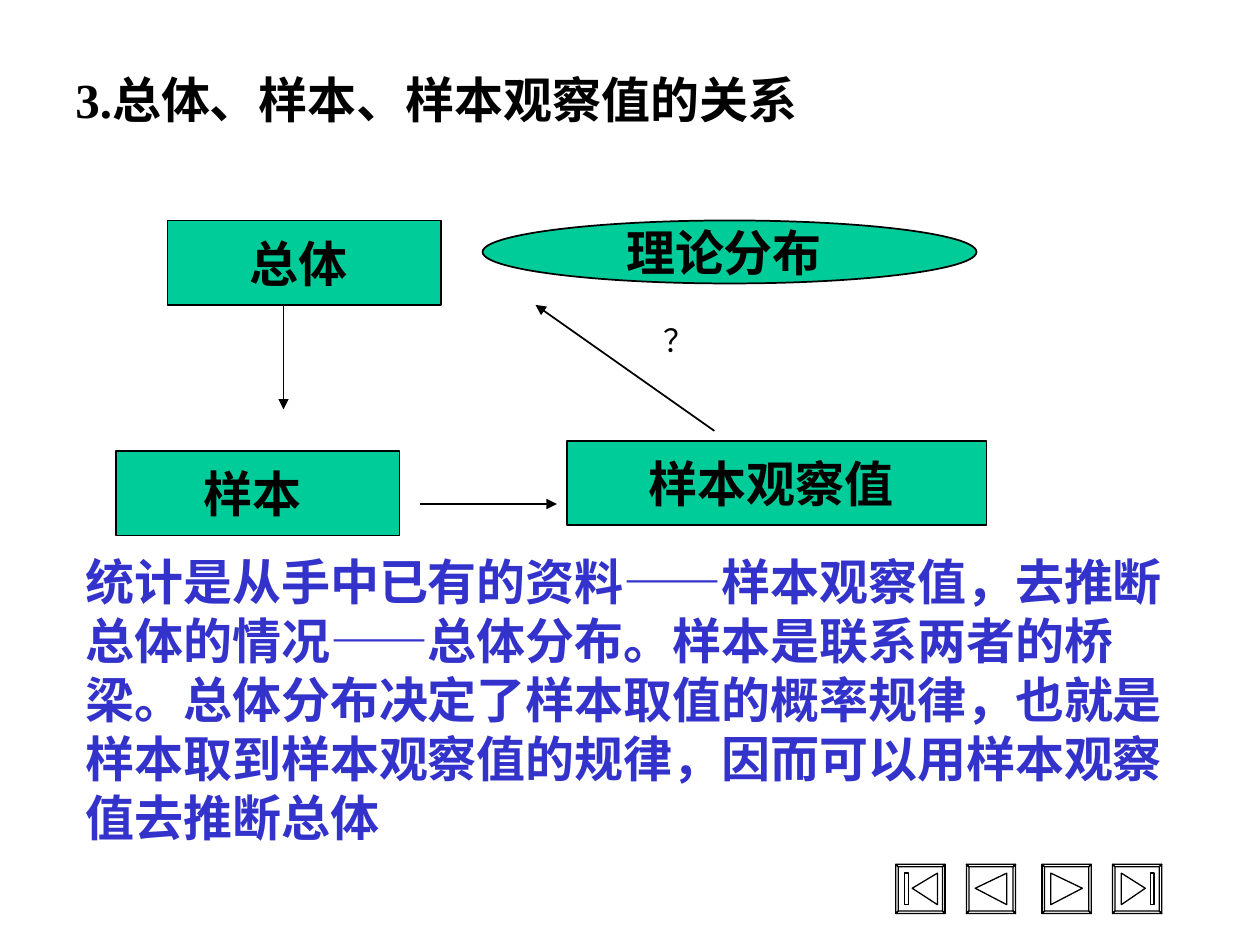
import pptx
import pptx.util
import pptx.dml.color
import pptx.enum.shapes
import pptx.enum.text
import pptx.oxml
import pptx.oxml.ns

Inches, Pt = pptx.util.Inches, pptx.util.Pt
RGBColor = pptx.dml.color.RGBColor
MSO_SHAPE = pptx.enum.shapes.MSO_SHAPE
PP_ALIGN = pptx.enum.text.PP_ALIGN
ANCHOR = pptx.enum.text.MSO_ANCHOR
AUTO_SIZE = pptx.enum.text.MSO_AUTO_SIZE

BLACK = RGBColor(0x00, 0x00, 0x00)
WHITE = RGBColor(0xFF, 0xFF, 0xFF)
GREEN = RGBColor(0x00, 0xCC, 0x99)
BLUE = RGBColor(0x33, 0x33, 0xCC)
SERIF = "Times New Roman"
SANS = "Noto Sans CJK SC"

TITLE = "3.总体、样本、样本观察值的关系"
CONCLUSION = (
    "统计是从手中已有的资料——样本观察值，去推断总体的情况——总体分布。"
    "样本是联系两者的桥梁。总体分布决定了样本取值的概率规律，"
    "也就是样本取到样本观察值的规律，因而可以用样本观察值去推断总体"
)
# The space after each label sets it slightly left of centre.
NODES = [
    ("总体 ", MSO_SHAPE.RECTANGLE, (1.33, 1.75, 2.17, 0.67)),
    ("样本 ", MSO_SHAPE.RECTANGLE, (0.92, 3.58, 2.25, 0.67)),
    ("样本观察值 ", MSO_SHAPE.RECTANGLE, (4.5, 3.5, 3.33, 0.67)),
    ("理论分布 ", MSO_SHAPE.OVAL, (3.83, 1.75, 3.92, 0.5)),
]
ARROWS = [
    ((2.25, 2.42), (2.25, 3.25)),
    ((3.33, 4), (4.42, 4)),
    ((5.67, 3.42), (4.25, 2.42)),
]

BUTTON_TOP, BUTTON_SIZE, BEVEL = 6.86, 0.39, 0.02
ICON_TOP, ICON_MIDDLE, ICON_BOTTOM = 0.07, 0.19, 0.32


def triangle(base, tip):
    return [(base, ICON_TOP), (tip, ICON_MIDDLE), (base, ICON_BOTTOM)]


def bar(left, right):
    return [(left, ICON_TOP), (right, ICON_TOP),
            (right, ICON_BOTTOM), (left, ICON_BOTTOM)]


# Left edge of each button, then its icon outlines relative to the button
BUTTONS = [
    (7.11, [triangle(0.33, 0.13), bar(0.07, 0.1)]),
    (7.67, [triangle(0.32, 0.07)]),
    (8.27, [triangle(0.07, 0.32)]),
    (8.83, [triangle(0.07, 0.26), bar(0.3, 0.33)]),
]


def style_text(paragraph, size, color, bold=True, typeface=SERIF):
    """Set Latin and Chinese fonts, and keep punctuation inside the margin."""
    font = paragraph.font
    font.size, font.bold, font.name = Pt(size), bold, typeface
    font.color.rgb = color
    east_asian = pptx.oxml.parse_xml(
        f'<a:ea {pptx.oxml.ns.nsdecls("a")} typeface="{SANS}"/>')
    properties = paragraph._p.get_or_add_pPr()
    properties.find(pptx.oxml.ns.qn("a:defRPr")).append(east_asian)
    properties.set("hangingPunct", "0")


def add_text(slide, text, box, size, color, wrap=True, **style):
    frame = slide.shapes.add_textbox(*map(Inches, box)).text_frame
    frame.word_wrap = wrap
    frame.auto_size = AUTO_SIZE.SHAPE_TO_FIT_TEXT if wrap else AUTO_SIZE.NONE
    frame.text = text
    style_text(frame.paragraphs[0], size, color, **style)


def paint(shape, fill, line_width):
    shape.shadow.inherit = False
    shape.fill.solid()
    shape.fill.fore_color.rgb = fill
    shape.line.color.rgb = BLACK
    shape.line.width = Pt(line_width)


def add_node(slide, label, kind, box):
    node = slide.shapes.add_shape(kind, *map(Inches, box))
    paint(node, GREEN, 1)
    frame = node.text_frame
    frame.word_wrap = False
    frame.vertical_anchor = ANCHOR.MIDDLE
    frame.text = label
    frame.paragraphs[0].alignment = PP_ALIGN.CENTER
    style_text(frame.paragraphs[0], 28, BLACK)


def add_arrow(slide, start, end):
    arrow = slide.shapes.add_connector(
        pptx.enum.shapes.MSO_CONNECTOR.STRAIGHT, *map(Inches, start + end))
    arrow.line.color.rgb = BLACK
    arrow.line.width = Pt(1)
    namespace = pptx.oxml.ns.nsdecls("a")
    arrow.line._get_or_add_ln().append(
        pptx.oxml.parse_xml(f'<a:tailEnd {namespace} type="triangle"/>'))
    arrow._element.spPr.append(pptx.oxml.parse_xml(f"<a:effectLst {namespace}/>"))


def add_button(slide, left, icon):
    """Draw a bevelled navigation button as one outline with several contours."""
    def square(inset):
        near, far = inset, BUTTON_SIZE - inset
        return [(near, near), (far, near), (far, far), (near, far)]

    outer, inner = square(0), square(BEVEL)
    bevels = [[outer[i], outer[(i + 1) % 4], inner[(i + 1) % 4], inner[i]]
              for i in range(4)]
    builder = None
    for contour in [outer] + bevels + icon:
        points = [(Inches(left + x), Inches(BUTTON_TOP + y)) for x, y in contour]
        if builder is None:
            builder = slide.shapes.build_freeform(*points[0])
        else:
            builder.move_to(*points[0])
        builder.add_line_segments(points[1:], close=True)
    paint(builder.convert_to_shape(), WHITE, 0.75)


def main():
    deck = pptx.Presentation()
    deck.slide_width, deck.slide_height = Inches(10), Inches(7.5)
    slide = deck.slides.add_slide(deck.slide_layouts[6])

    add_text(slide, TITLE, (0.5, 0.5, 9.08, 0.57), 28, BLACK)
    for node in NODES:
        add_node(slide, *node)
    for start, end in ARROWS:
        add_arrow(slide, start, end)
    add_text(slide, "？", (5.17, 2.5, 0.5, 0.5), 18, BLACK,
             wrap=False, bold=False, typeface=SANS)
    add_text(slide, CONCLUSION, (0.58, 4.33, 9.08, 2.44), 28, BLUE)
    for left, icon in BUTTONS:
        add_button(slide, left, icon)

    deck.save("out.pptx")


if __name__ == "__main__":
    main()
